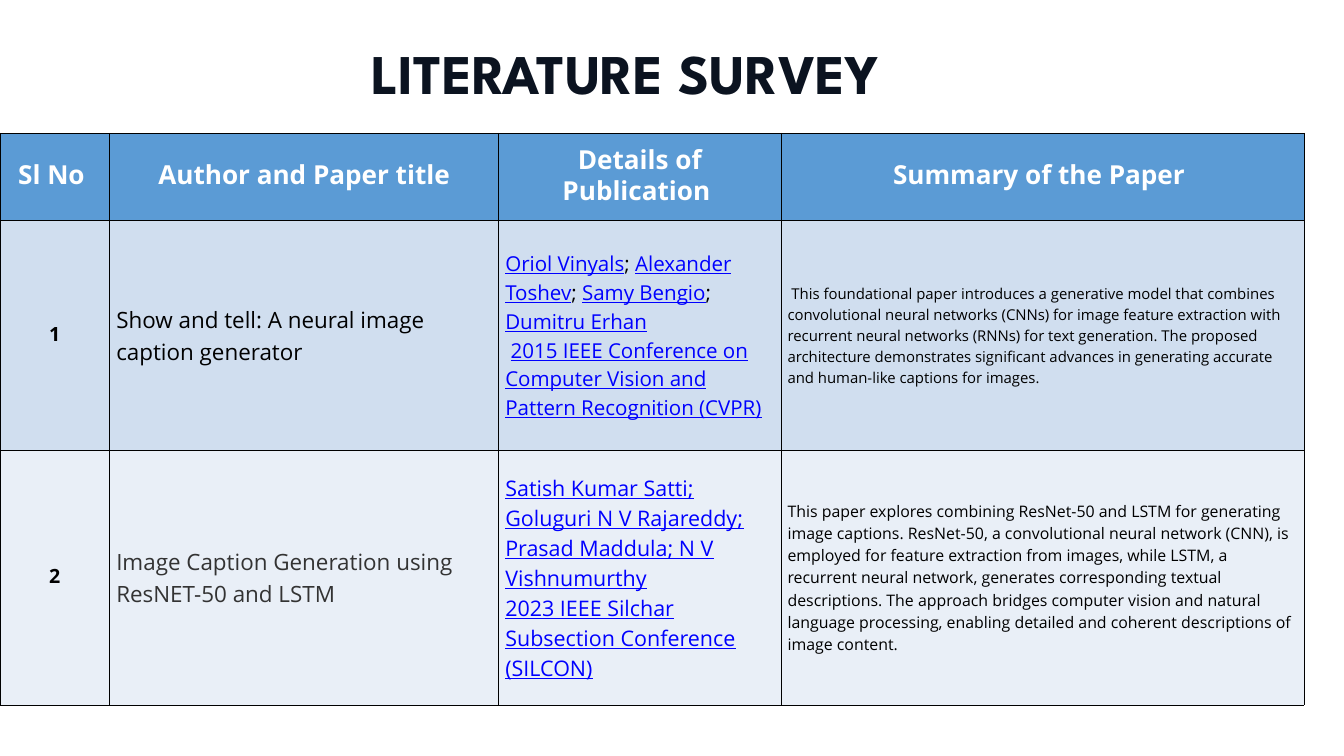
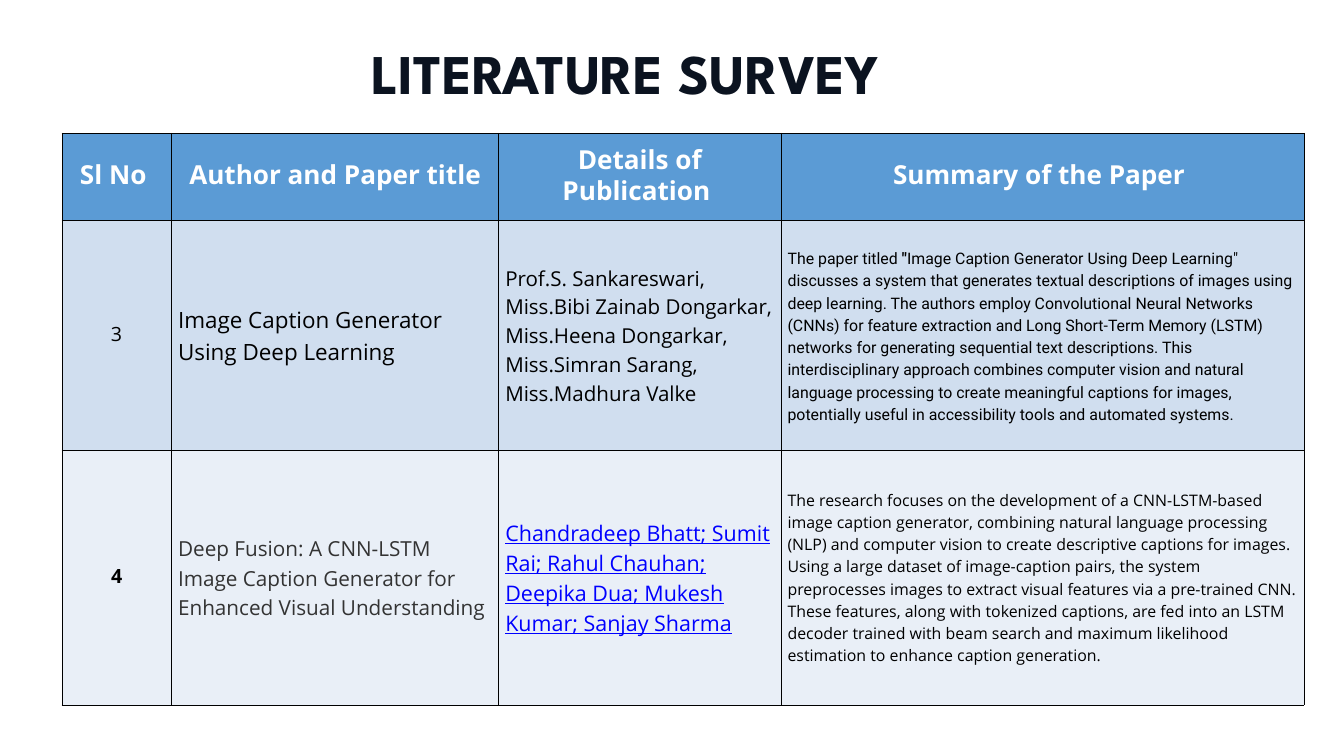
from pptx import Presentation
from pptx.dml.color import RGBColor
from pptx.enum.text import MSO_ANCHOR, MSO_AUTO_SIZE, PP_ALIGN
from pptx.oxml import parse_xml
from pptx.oxml.ns import nsdecls
from pptx.util import Inches, Pt

LEFT, CENTER = PP_ALIGN.LEFT, PP_ALIGN.CENTER
TOP, MIDDLE = MSO_ANCHOR.TOP, MSO_ANCHOR.MIDDLE
GROW = MSO_AUTO_SIZE.SHAPE_TO_FIT_TEXT
TITLE_ONLY = 5

# Colours, type sizes and text styles (font, colour, bold, underline)
THEME = {
    "band": ["5B9BD5", "D0DEEF", "E9EFF7"],
    "border": "000000",
    "border_width": Pt(0.37),
    "title_size": 60,
    "title_leading": 58.8,
    "header_size": 28,
    "number_size": 21,
    "tight": 1.2,
    "loose": 1.4,
    "styles": {
        "title": ("League Spartan", "0B1320", True, False),
        "header": ("Open Sans", "FFFFFF", True, False),
        "bold": ("Open Sans", "000000", True, False),
        "plain": ("Open Sans", "000000", False, False),
        "grey": ("Open Sans", "333333", False, False),
        "link": ("Open Sans", "0000FF", False, True),
        "roboto": ("Roboto", "000000", False, False),
        "roboto_bold": ("Roboto", "000000", True, False),
    },
}

# Table texts: each cell is (size, paragraphs), each paragraph a list of (text, style)
HEADERS = ["Sl No ", "Author and Paper title", "Details of Publication ", "Summary of the Paper "]
NUMBER_SIZE = THEME["number_size"]

FIRST_PAPERS = [
    [
        (NUMBER_SIZE, [[("1", "bold")]]),
        (24, [[("Show and tell: A neural image caption generator", "plain")]]),
        (22, [
            [("Oriol Vinyals", "link"), ("; ", "plain"), ("Alexander Toshev", "link"), ("; ", "plain"),
             ("Samy Bengio", "link"), ("; ", "plain"), ("Dumitru Erhan", "link")],
            [(" ", "plain"),
             ("2015 IEEE Conference on Computer Vision and Pattern Recognition (CVPR)", "link")],
        ]),
        (16, [[(
            " This foundational paper introduces a generative model that combines convolutional neural "
            "networks (CNNs) for image feature extraction with recurrent neural networks (RNNs) for text "
            "generation. The proposed architecture demonstrates significant advances in generating "
            "accurate and human-like captions for images.", "plain")]]),
    ],
    [
        (NUMBER_SIZE, [[("2", "bold")]]),
        (24, [[("Image Caption Generation using ResNET-50 and LSTM", "grey")]]),
        (23, [
            [("Satish Kumar Satti; Goluguri N V Rajareddy; Prasad Maddula; N V Vishnumurthy", "link")],
            [("2023 IEEE Silchar Subsection Conference (SILCON)", "link")],
        ]),
        (17, [[(
            "This paper explores combining ResNet-50 and LSTM for generating image captions. ResNet-50, a "
            "convolutional neural network (CNN), is employed for feature extraction from images, while "
            "LSTM, a recurrent neural network, generates corresponding textual descriptions. The approach "
            "bridges computer vision and natural language processing, enabling detailed and coherent "
            "descriptions of image content.", "plain")]]),
    ],
]

SECOND_PAPERS = [
    [
        (NUMBER_SIZE, [[("3", "plain")]]),
        (24, [[("Image Caption Generator Using Deep Learning", "plain")]]),
        (22, [
            [("Prof.S. Sankareswari, Miss.Bibi Zainab Dongarkar, Miss.Heena Dongarkar, "
              "Miss.Simran Sarang,", "plain")],
            [("Miss.Madhura Valke", "plain")],
        ]),
        (17, [[("The paper titled ", "roboto"), ('"', "roboto_bold"), (
            'Image Caption Generator Using Deep Learning" discusses a system that generates textual '
            "descriptions of images using deep learning. The authors employ Convolutional Neural Networks "
            "(CNNs) for feature extraction and Long Short-Term Memory (LSTM) networks for generating "
            "sequential text descriptions. This interdisciplinary approach combines computer vision and "
            "natural language processing to create meaningful captions for images, potentially useful in "
            "accessibility tools and automated systems.", "roboto")]]),
    ],
    [
        (NUMBER_SIZE, [[("4", "bold")]]),
        (22.2, [[("Deep Fusion: A CNN-LSTM Image Caption Generator for Enhanced Visual Understanding",
                  "grey")]]),
        (23, [[("Chandradeep Bhatt; Sumit Rai; Rahul Chauhan; Deepika Dua; Mukesh Kumar; Sanjay Sharma",
                "link")]]),
        (17, [[(
            "The research focuses on the development of a CNN-LSTM-based image caption generator, "
            "combining natural language processing (NLP) and computer vision to create descriptive "
            "captions for images. Using a large dataset of image-caption pairs, the system preprocesses "
            "images to extract visual features via a pre-trained CNN. These features, along with "
            "tokenized captions, are fed into an LSTM decoder trained with beam search and maximum "
            "likelihood estimation to enhance caption generation.", "plain")]]),
    ],
]

# Table geometry: both tables end at the same right edge
TABLE_TOP, TABLE_RIGHT = 1.98, 19.4
ROW_HEIGHTS = [1.3, 3.42, 3.79]
NUMBER_WIDTH, DETAILS_WIDTH, SUMMARY_WIDTH = 1.63, 4.2, 7.78
SLIDES = [(0, FIRST_PAPERS), (0.92, SECOND_PAPERS)]


def write_text(frame, paragraphs, size, leading, alignment):
    for index, spans in enumerate(paragraphs):
        para = frame.paragraphs[0] if index == 0 else frame.add_paragraph()
        para.alignment = alignment
        para.line_spacing = Pt(round(leading, 1))
        for text, style in spans:
            span = para.add_run()
            span.text = text
            name, colour, bold, underline = THEME["styles"][style]
            span.font.name = name
            span.font.size = Pt(size)
            span.font.bold = bold
            span.font.underline = underline
            span.font.color.rgb = RGBColor.from_string(colour)


def format_cell(cell, fill):
    cell.vertical_anchor = MIDDLE
    cell.margin_left = cell.margin_right = cell.margin_top = cell.margin_bottom = Inches(0.1)
    properties = cell._tc.get_or_add_tcPr()
    for side in ("lnL", "lnR", "lnT", "lnB"):
        properties.append(parse_xml(
            f'<a:{side} {nsdecls("a")} w="{THEME["border_width"]}"><a:solidFill>'
            f'<a:srgbClr val="{THEME["border"]}"/></a:solidFill></a:{side}>'))
    cell.fill.solid()
    cell.fill.fore_color.rgb = RGBColor.from_string(fill)


deck = Presentation()
deck.slide_width, deck.slide_height = Inches(20), Inches(11.25)

header_row = [(THEME["header_size"], [[(text, "header")]]) for text in HEADERS]

for table_left, papers in SLIDES:
    page = deck.slides.add_slide(deck.slide_layouts[TITLE_ONLY])

    # Title
    title = page.shapes.title
    title.left, title.top, title.width, title.height = map(Inches, (5.53, 0.76, 9.49, 0.86))
    frame = title.text_frame
    frame.margin_left = frame.margin_right = frame.margin_top = frame.margin_bottom = 0
    frame.vertical_anchor = TOP
    frame.word_wrap = True
    frame.auto_size = GROW
    write_text(frame, [[("LITERATURE SURVEY", "title")]], THEME["title_size"],
               THEME["title_leading"], LEFT)

    # Table grid: the paper title column takes the remaining width
    table_width = TABLE_RIGHT - table_left
    paper_width = table_width - NUMBER_WIDTH - DETAILS_WIDTH - SUMMARY_WIDTH
    rows = [header_row] + papers
    table = page.shapes.add_table(
        len(rows), len(HEADERS), Inches(table_left), Inches(TABLE_TOP),
        Inches(table_width), Inches(sum(ROW_HEIGHTS))).table
    table.horz_banding = False
    for column, width in zip(table.columns, (NUMBER_WIDTH, paper_width, DETAILS_WIDTH, SUMMARY_WIDTH)):
        column.width = Inches(width)
    for row, height in zip(table.rows, ROW_HEIGHTS):
        row.height = Inches(height)

    # Table cells: header and number column are centred and set tighter
    for row_index, row in enumerate(rows):
        for column_index, (size, paragraphs) in enumerate(row):
            cell = table.cell(row_index, column_index)
            format_cell(cell, THEME["band"][row_index])
            centred = row_index == 0 or column_index == 0
            leading = size * (THEME["tight"] if centred else THEME["loose"])
            write_text(cell.text_frame, paragraphs, size, leading, CENTER if centred else LEFT)

deck.save("out.pptx")
